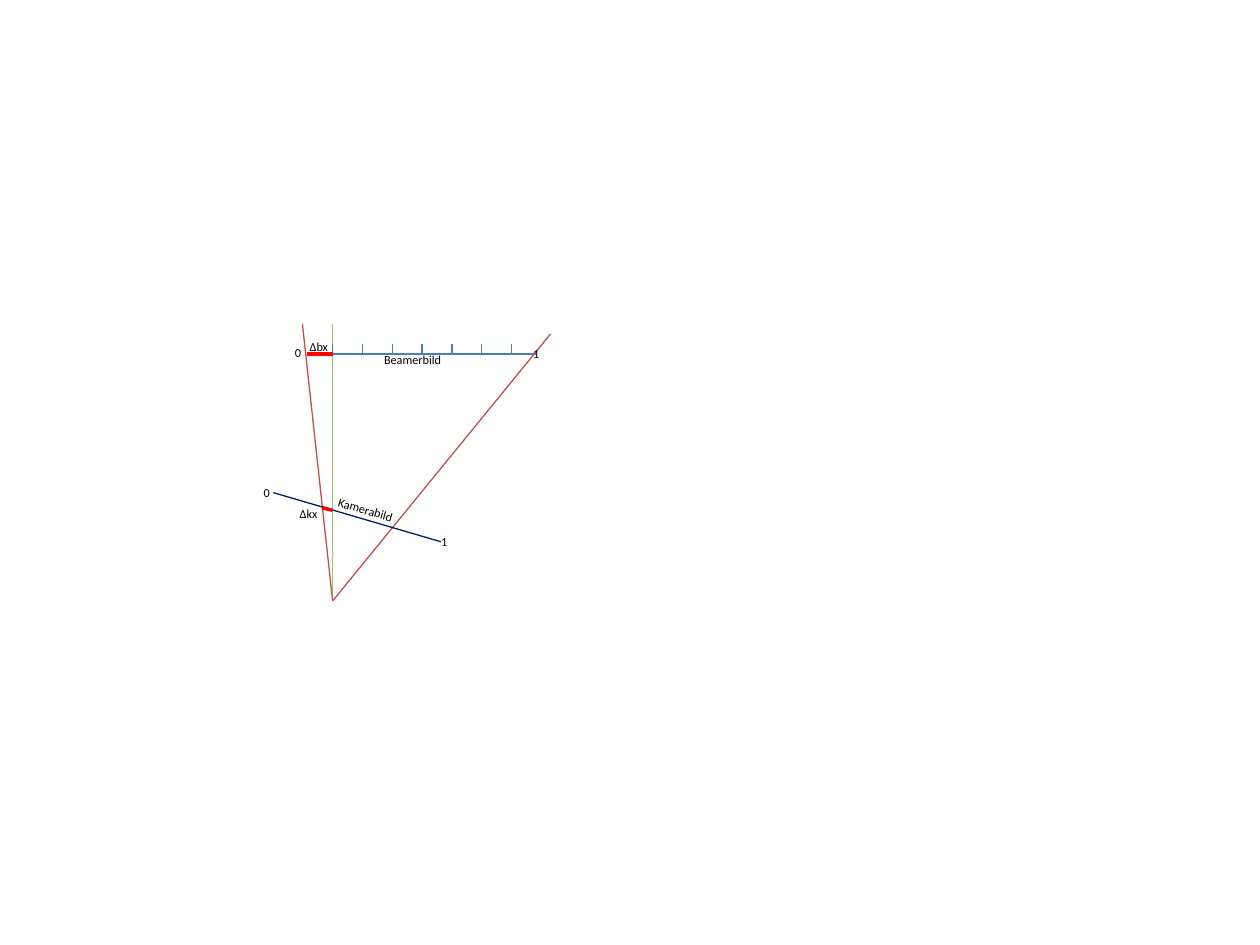
from pptx import Presentation
from pptx.dml.color import RGBColor
from pptx.enum.shapes import MSO_CONNECTOR
from pptx.enum.text import MSO_AUTO_SIZE
from pptx.oxml.ns import qn
from pptx.util import Inches, Pt
from lxml.etree import SubElement

BLACK = RGBColor(0x00, 0x00, 0x00)
GREEN = RGBColor(0x92, 0xD0, 0x50)
BLUE = RGBColor(0x4B, 0x7E, 0xBC)
RAY_RED = RGBColor(0xC0, 0x50, 0x4D)
NAVY = RGBColor(0x00, 0x20, 0x60)
RED = RGBColor(0xFF, 0x00, 0x00)

APEX = (2.64, 4.77)
BEAMER_LEFT, BEAMER_RIGHT, BEAMER_Y = 2.44, 4.25, 2.81
TICK_COUNT, TICK_GAP, TICK_HEIGHT = 7, 0.2367, 0.08
LABEL_HEIGHT = 0.22


def add_line(page, start, end, color, width=0.75):
    """Draw a straight line without shadow between two points."""
    line = page.shapes.add_connector(
        MSO_CONNECTOR.STRAIGHT, *(Inches(value) for value in (*start, *end)))
    line.line.color.rgb = color
    line.line.width = Pt(width)
    SubElement(line._element.spPr, qn("a:effectLst"))


def add_label(page, text, left, top, width, wrap=True, rotation=0):
    """Write a small label, turned if needed."""
    box = page.shapes.add_textbox(
        Inches(left), Inches(top), Inches(width), Inches(LABEL_HEIGHT))
    box.rotation = rotation
    frame = box.text_frame
    frame.word_wrap = wrap
    frame.auto_size = MSO_AUTO_SIZE.SHAPE_TO_FIT_TEXT
    para = frame.paragraphs[0]
    para.text = text
    para.font.name = "Calibri"
    para.font.size = Pt(7)
    para.font.color.rgb = BLACK


def add_beamer_scale(page):
    """Draw the beamer image line with its evenly spaced ticks."""
    add_line(page, (BEAMER_LEFT, BEAMER_Y), (BEAMER_RIGHT, BEAMER_Y), BLUE)
    for index in range(TICK_COUNT):
        x = APEX[0] + index * TICK_GAP
        add_line(page, (x, BEAMER_Y - TICK_HEIGHT), (x, BEAMER_Y), BLUE)


def add_rays(page):
    """Draw the centre ray, the outer rays and the camera image line."""
    add_line(page, (APEX[0], 2.57), APEX, GREEN)
    add_beamer_scale(page)
    add_line(page, (2.4, 2.57), APEX, RAY_RED)
    add_line(page, (4.37, 2.65), APEX, RAY_RED)
    add_line(page, (2.17, 3.91), (3.5, 4.3), NAVY)


def add_offsets(page):
    """Mark the offsets on the beamer and camera images."""
    add_line(page, (APEX[0], BEAMER_Y), (BEAMER_LEFT, BEAMER_Y), RED, 2)
    add_line(page, (APEX[0], 4.05), (2.56, 4.03), RED, 2)


def add_labels(page):
    """Name the images, their ends and the offsets."""
    add_label(page, "Δbx", 2.36, 2.64, 0.41)
    add_label(page, "Δkx", 2.28, 3.97, 0.39)
    add_label(page, "Kamerabild", 2.58, 3.94, 0.66, wrap=False, rotation=16.2)
    add_label(page, "Beamerbild", 2.95, 2.75, 0.66, wrap=False)
    add_label(page, "0", 2.28, 2.69, 0.16)
    add_label(page, "1", 4.21, 2.7, 0.12)
    add_label(page, "0", 2.01, 3.8, 0.18)
    add_label(page, "1", 3.48, 4.19, 0.12)


def main():
    """Build the slide and save it."""
    deck = Presentation()
    deck.slide_width, deck.slide_height = Inches(10), Inches(7.5)
    page = deck.slides.add_slide(deck.slide_layouts[6])
    add_rays(page)
    add_offsets(page)
    add_labels(page)
    deck.save("out.pptx")


main()
